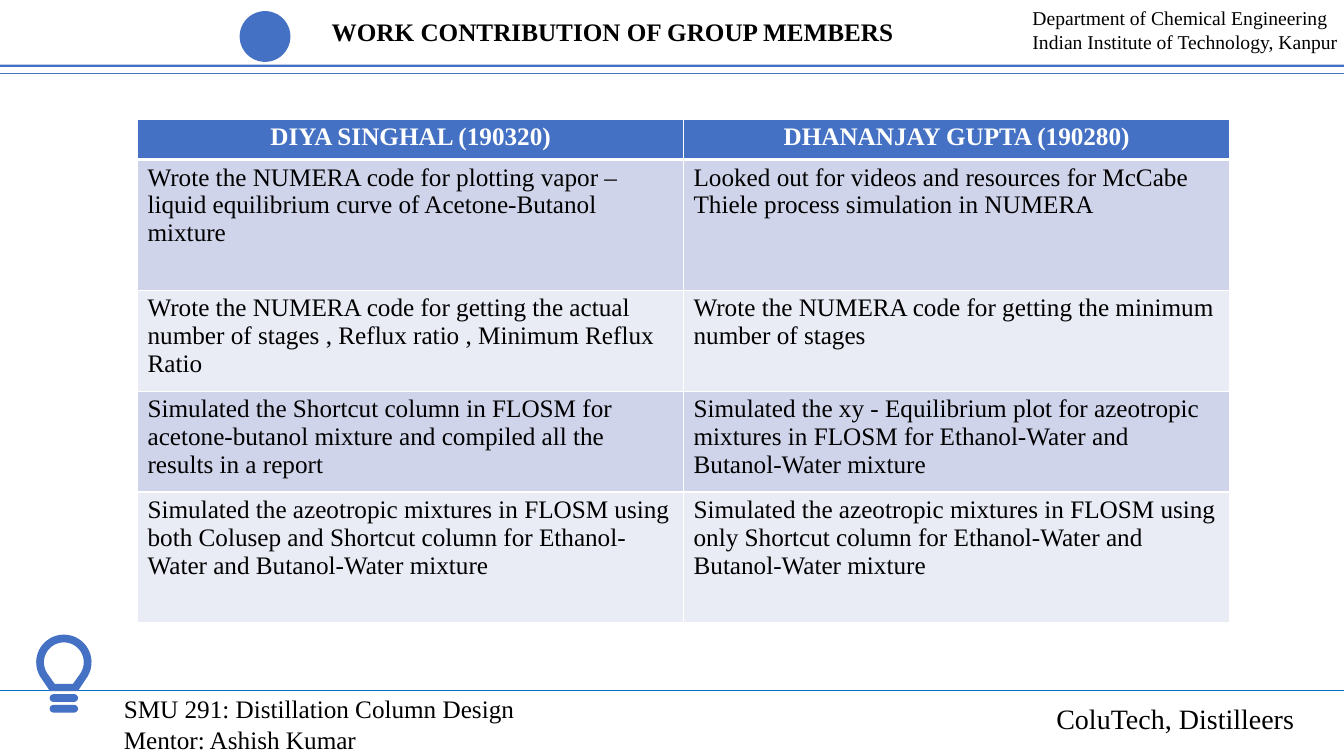
import math
from dataclasses import dataclass

import pptx
import pptx.util
import pptx.dml.color
import pptx.enum.shapes
import pptx.enum.text
import pptx.oxml
import pptx.oxml.ns
from pptx.util import Cm, Pt


@dataclass(frozen=True)
class Theme:
    font: str = "Times New Roman"
    blue: str = "4471C4"
    footer_line: str = "006FC0"
    band_dark: str = "CFD4EA"
    band_light: str = "E9EBF5"
    black: str = "000000"
    white: str = "FFFFFF"
    small: int = 14
    body: int = 18
    large: int = 20


theme = Theme()
rgb = pptx.dml.color.RGBColor.from_string


def write(frame, text, size, color=theme.black, bold=False, before=0, align="LEFT"):
    """Fill a text frame; a vertical tab in the text is a line break."""
    frame.text = text
    frame.word_wrap = True
    frame.vertical_anchor = pptx.enum.text.MSO_ANCHOR.TOP
    frame.margin_left = frame.margin_right = frame.margin_bottom = 0
    frame.margin_top = Cm(0.03)
    for para in frame.paragraphs:
        para.alignment = getattr(pptx.enum.text.PP_ALIGN, align)
        para.space_before = Pt(before)
        para.font.name = theme.font
        para.font.size = Pt(size)
        para.font.bold = bold
        para.font.color.rgb = rgb(color)


def paint(shape, outline=True):
    shape.shadow.inherit = False
    shape.fill.solid()
    shape.fill.fore_color.rgb = rgb(theme.blue)
    if outline:
        shape.line.color.rgb = rgb(theme.blue)
        shape.line.width = Pt(1)
    else:
        shape.line.fill.background()


deck = pptx.Presentation()
deck.slide_width = Cm(33.87)
deck.slide_height = Cm(19.05)
page = deck.slides.add_slide(deck.slide_layouts[5])
shapes = page.shapes
kinds = pptx.enum.shapes.MSO_SHAPE

# Header band and disc
header_bar = shapes.add_shape(kinds.RECTANGLE, 0, Cm(1.63), deck.slide_width, Cm(0.06))
paint(header_bar, outline=False)
disc = shapes.add_shape(kinds.OVAL, Cm(6.04), Cm(0.28), Cm(1.28), Cm(1.28))
paint(disc, outline=False)

# Thin rules under the header and above the footer
for height, color in ((1.84, theme.blue), (17.39, theme.footer_line)):
    rule = shapes.add_connector(
        pptx.enum.shapes.MSO_CONNECTOR.STRAIGHT, 0, Cm(height), deck.slide_width, Cm(height))
    rule.line.color.rgb = rgb(color)
    rule.line.width = Pt(0.5)
    rule._element.spPr.append(pptx.oxml.parse_xml(
        "<a:effectLst %s/>" % pptx.oxml.ns.nsdecls("a")))

# Light bulb: an outer and an inner contour, each a round head on a tapered neck
contours = []
for radius, neck_half, neck_bottom in ((0.68, 0.34, 17.4), (0.52, 0.24, 17.25)):
    contour = [
        (Cm(1.61 + radius * math.cos(math.radians(angle))),
         Cm(16.69 + radius * math.sin(math.radians(angle))))
        for angle in range(142, 399, 8)
    ]
    contour += [(Cm(1.61 + neck_half), Cm(neck_bottom)), (Cm(1.61 - neck_half), Cm(neck_bottom))]
    contours.append(contour)
outer, inner = contours
builder = shapes.build_freeform(*outer[0])
builder.add_line_segments(outer[1:], close=True)
builder.move_to(*inner[0])
builder.add_line_segments(inner[1:], close=True)
paint(builder.convert_to_shape())
for top in (17.51, 17.78):
    base = shapes.add_shape(kinds.ROUNDED_RECTANGLE, Cm(1.27), Cm(top), Cm(0.68), Cm(0.16))
    base.adjustments[0] = 0.5
    paint(base)

# Title
title = shapes.title
title.left, title.top, title.width, title.height = Cm(8.36), Cm(0.38), Cm(14.4), Cm(0.84)
write(title.text_frame, "WORK CONTRIBUTION OF GROUP MEMBERS", theme.body, bold=True, before=1)

# Corner texts: left, top, width, height, size, wording
corner_texts = (
    (26.02, 0.13, 7.8, 1.27, theme.small,
     "Department of Chemical Engineering\vIndian Institute of Technology, Kanpur"),
    (3.12, 17.45, 9.9, 1.52, theme.body,
     "SMU 291: Distillation Column Design\nMentor: Ashish Kumar"),
    (26.62, 17.65, 6.8, 0.86, theme.large, "ColuTech, Distilleers"),
)
for left, top, width, height, size, text in corner_texts:
    box = shapes.add_textbox(Cm(left), Cm(top), Cm(width), Cm(height))
    write(box.text_frame, text, size)

# Contribution table
rows = (
    ("DIYA SINGHAL (190320)", "DHANANJAY GUPTA (190280)"),
    ("Wrote the NUMERA code for plotting vapor –\vliquid equilibrium curve of Acetone-Butanol\vmixture",
     "Looked out for videos and resources for McCabe\vThiele process simulation in NUMERA"),
    ("Wrote the NUMERA code for getting the actual\vnumber of stages , Reflux ratio , Minimum Reflux\vRatio",
     "Wrote the NUMERA code for getting the minimum\nnumber of stages"),
    ("Simulated the Shortcut column in FLOSM for\vacetone-butanol mixture and compiled all the\vresults in a report",
     "Simulated the xy - Equilibrium plot for azeotropic\vmixtures in FLOSM for Ethanol-Water and\vButanol-Water mixture"),
    ("Simulated the azeotropic mixtures in FLOSM using\vboth Colusep and Shortcut column for Ethanol-\vWater and Butanol-Water mixture",
     "Simulated the azeotropic mixtures in FLOSM using\vonly Shortcut column for Ethanol-Water and\vButanol-Water mixture"),
)
row_heights = (1.02, 3.3, 2.54, 2.54, 3.3)
table = shapes.add_table(
    len(rows), 2, Cm(3.47), Cm(3), Cm(27.52), Cm(sum(row_heights))).table
for column in table.columns:
    column.width = Cm(13.76)
for row_index, texts in enumerate(rows):
    table.rows[row_index].height = Cm(row_heights[row_index])
    is_header = row_index == 0
    band = theme.band_dark if row_index % 2 else theme.band_light
    for column_index, text in enumerate(texts):
        cell = table.cell(row_index, column_index)
        write(cell.text_frame, text, theme.body,
              color=theme.white if is_header else theme.black, bold=is_header,
              before=0 if is_header else 3, align="CENTER" if is_header else "LEFT")
        for para in cell.text_frame.paragraphs[1:]:
            para.space_before = Pt(0)
        cell.margin_left = 0 if is_header else Cm(0.25)
        cell.margin_right = cell.margin_bottom = 0
        cell.margin_top = Cm(0.1)
        cell.fill.solid()
        cell.fill.fore_color.rgb = rgb(theme.blue if is_header else band)
        thick_side = {0: "B", 1: "T"}.get(row_index)
        for position, side in enumerate("LRTB"):
            width = Pt(3 if side == thick_side else 1)
            cell._tc.get_or_add_tcPr().insert(position, pptx.oxml.parse_xml(
                '<a:ln%s %s w="%d"><a:solidFill><a:srgbClr val="%s"/></a:solidFill></a:ln%s>'
                % (side, pptx.oxml.ns.nsdecls("a"), width, theme.white, side)))

deck.save("out.pptx")
